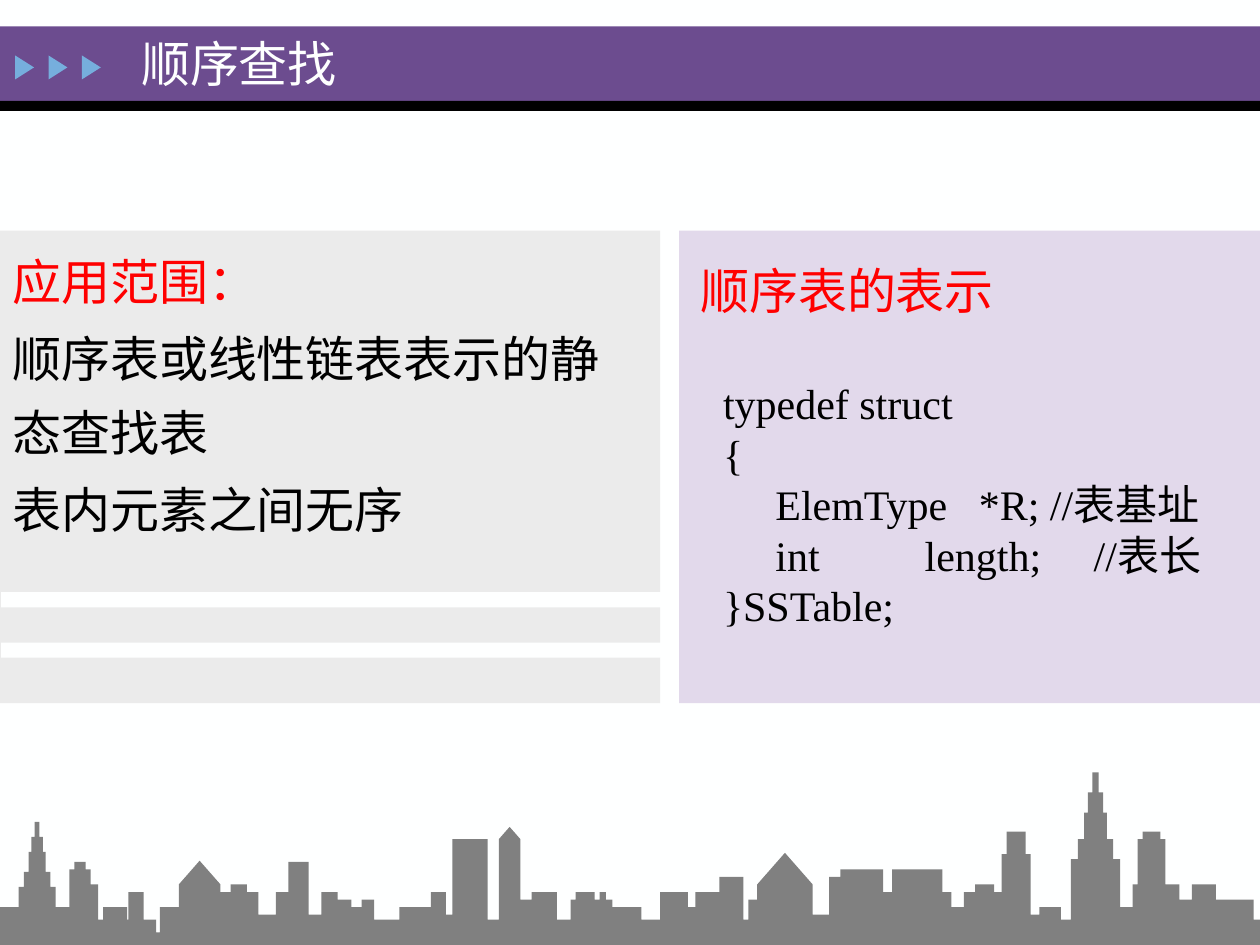
from dataclasses import dataclass
from itertools import pairwise

from pptx import Presentation
from pptx.dml.color import RGBColor
from pptx.enum.shapes import MSO_SHAPE as Shape
from pptx.enum.text import MSO_ANCHOR as Anchor, MSO_AUTO_SIZE as AutoSize, PP_ALIGN as Align
from pptx.util import Inches, Pt

# The slide is a grid of 100 columns by 75 rows
WIDTH, HEIGHT = Inches(10), Inches(7.5)
COLUMN, ROW = WIDTH / 100, HEIGHT / 75

FONT = "Times New Roman"
WHITE = RGBColor(0xFE, 0xFF, 0xFF)
BLACK = RGBColor(0x00, 0x00, 0x00)
RED = RGBColor(0xFF, 0x00, 0x00)
PURPLE = RGBColor(0x6C, 0x4C, 0x8F)
LILAC = RGBColor(0xE2, 0xD9, 0xEB)
BLUE = RGBColor(0x76, 0xAE, 0xDD)
PALE_GREY = RGBColor(0xEB, 0xEB, 0xEB)
GREY = RGBColor(0x80, 0x80, 0x80)

# The city: flat blocks are grouped by floors, each block as (left, right) columns
FLOOR = 0.6  # rows
GROUND, STREET = 1, 2  # heights in rows
STREETS = [(0, 12.4), (12.7, 100)]  # an alley parts them
BLOCKS = {
    4: [(20.5, 25.5), (35.4, 35.9), (64.5, 65.8), (81.8, 82.5)],
    5: [(0, 5.5), (8.2, 10.1), (12.7, 14.2), (27.9, 28.7), (31.7, 34.2), (48.6, 50.9),
        (54.6, 55.2), (75.5, 76.5), (82.5, 84.2), (88.9, 89.9)],
    6: [(26.8, 27.9), (28.7, 29.7), (41.3, 42.2), (47.6, 48.6), (59.4, 60.1), (93.6, 99.5)],
    7: [(10.2, 11.4), (17.5, 20.5), (21.9, 22.9), (25.5, 26.8), (34.2, 35.4), (42.2, 44.2),
        (47.6, 48.1), (52.4, 54.6), (55.2, 57.1), (70.1, 75.5), (76.5, 79.5)],
    8: [(7.2, 7.8), (18.3, 19.6), (77.4, 78.9), (89.9, 93.6), (94.6, 96.5)],
    9: [(57.1, 59), (65.8, 66.7)],
    10: [(66.7, 70.1), (70.8, 74.8)],
    11: [(22.9, 24.5)],
    14: [(35.9, 38.7)],
}
# Blocks with a smaller top: left, right, floors, floors of the top
STEPPED = [(5.5, 7.2, 10, 1), (45.3, 47.6, 6, 1), (79.5, 81.8, 12, 3), (90.3, 92.5, 14, 1)]
TOP_INSET = 0.4
# Houses with a pitched roof: left, right, floors below the roof
GABLED = [(14.2, 17.5, 8), (39.6, 41.3, 14), (60.1, 64.5, 8)]
ROOF_PITCH = 0.57  # rise as a share of the width
# Spires: center, height of the lowest tier, scale of the tiers (width, rise)
SPIRES = [(2.95, 4.6, 0.75), (86.95, 6.8, 1)]
SPIRE_TIERS = [(3.9, 0), (2.8, 1.6), (1.8, 3.7), (1.2, 5.3), (0.5, 6.9)]


@dataclass
class Box:
    """A rectangle in grid columns and rows."""
    left: float
    top: float
    width: float
    height: float

    def inner(self, column, row, width, height):
        return Box(self.left + column, self.top + row, width, height)

    def lengths(self):
        return (round(self.left * COLUMN), round(self.top * ROW),
                round(self.width * COLUMN), round(self.height * ROW))


def paint(shape, color):
    shape.shadow.inherit = False
    shape.fill.solid()
    shape.fill.fore_color.rgb = color
    shape.line.fill.background()
    return shape


def add_block(slide, box, color, kind=Shape.RECTANGLE):
    return paint(slide.shapes.add_shape(kind, *box.lengths()), color)


def write(text_frame, lines, size, colors, anchor=Anchor.TOP):
    """Fill a frame with left-aligned lines; the last color serves the remaining lines."""
    text_frame.text = "\n".join(lines)
    text_frame.word_wrap = True
    text_frame.auto_size = AutoSize.NONE
    text_frame.vertical_anchor = anchor
    for index, paragraph in enumerate(text_frame.paragraphs):
        paragraph.alignment = Align.LEFT
        font = paragraph.runs[0].font
        font.name, font.size = FONT, Pt(size)
        font.color.rgb = colors[min(index, len(colors) - 1)]


def add_text(slide, box, lines, size, color):
    write(slide.shapes.add_textbox(*box.lengths()).text_frame, lines, size, [color])


def add_header(slide, box, text):
    add_block(slide, box.inner(0, 0, box.width, 5.9), PURPLE)
    add_block(slide, box.inner(0, 5.9, box.width, 0.8), BLACK)
    for index in range(3):
        arrow = add_block(slide, box.inner(1 + 2.65 * index, 2.5, 1.9, 1.5), BLUE,
                          Shape.ISOSCELES_TRIANGLE)
        arrow.rotation = 90
    title = slide.shapes.title
    title.left, title.top, title.width, title.height = box.inner(10.2, 0.1, 33.8, 5.6).lengths()
    write(title.text_frame, [text], 28, [WHITE], Anchor.MIDDLE)
    title.element.getparent().append(title.element)  # in front of the bars


def add_scope_panel(slide, box):
    panel = add_block(slide, box, PALE_GREY)
    lines = ["应用范围：", "顺序表或线性链表表示的静态查找表", "表内元素之间无序"]
    write(panel.text_frame, lines, 28, [RED, BLACK])
    for index, paragraph in enumerate(panel.text_frame.paragraphs):
        paragraph.line_spacing = 1.25
        paragraph.space_before = Pt(2 if index else 0)
    for row in (28.7, 32.7):
        add_block(slide, box.inner(0.1, row, box.width, 1.2), WHITE)


def add_code_panel(slide, box):
    add_block(slide, box, LILAC)
    code = ["typedef struct", "{", "     ElemType   *R; //表基址",
            "     int          length;     //表长", "}SSTable;"]
    add_text(slide, box.inner(2.5, 11.2, 42, 21.2), code, 24, BLACK)
    add_text(slide, box.inner(0.7, 1.9, 28.6, 5.7), ["顺序表的表示"], 28, RED)


def city_tiers(width):
    """Every upright rectangle of the city as (left, right, height)."""
    tiers = [(0, width, GROUND)] + [(left, right, STREET) for left, right in STREETS]
    for floors, spans in BLOCKS.items():
        tiers += [(left, right, floors * FLOOR) for left, right in spans]
    for left, right, floors, top_floors in STEPPED:
        tiers += [(left, right, floors * FLOOR),
                  (left + TOP_INSET, right - TOP_INSET, (floors + top_floors) * FLOOR)]
    tiers += [(left, right, floors * FLOOR) for left, right, floors in GABLED]
    for center, base, scale in SPIRES:
        tiers += [(center - scale * tier / 2, center + scale * tier / 2, base + scale * rise)
                  for tier, rise in SPIRE_TIERS]
    return tiers


def add_skyline(slide, box):
    """Draw one outline that follows the highest tier over each stretch between walls."""
    tiers = city_tiers(box.width)
    gables = {left: (right - left, floors * FLOOR) for left, right, floors in GABLED}
    walls = sorted({edge for left, right, _ in tiers for edge in (left, right)})
    outline = [(0, 0)]
    for start, end in pairwise(walls):
        roof = max(height for left, right, height in tiers if left <= start and end <= right)
        outline.append((start, roof))
        if start in gables:
            width, eave = gables[start]
            outline.append((start + width / 2, eave + ROOF_PITCH * width))
        outline.append((end, roof))
    outline.append((box.width, 0))
    corners = [box.inner(column, box.height - height, 0, 0).lengths()[:2]
               for column, height in outline]
    builder = slide.shapes.build_freeform(*corners[0])
    builder.add_line_segments(corners[1:], close=True)
    paint(builder.convert_to_shape(), GREY)


def main():
    presentation = Presentation()
    presentation.slide_width, presentation.slide_height = WIDTH, HEIGHT
    slide = presentation.slides.add_slide(presentation.slide_layouts.get_by_name("Title Only"))
    slide.background.fill.solid()
    slide.background.fill.fore_color.rgb = WHITE
    add_header(slide, Box(0, 2.1, 100, 6.7), "顺序查找")
    add_scope_panel(slide, Box(0, 18.3, 52.4, 37.5))
    add_code_panel(slide, Box(53.9, 18.3, 46.1, 37.5))
    add_skyline(slide, Box(0, 61.3, 100, 13.7))
    presentation.save("out.pptx")


if __name__ == "__main__":
    main()
